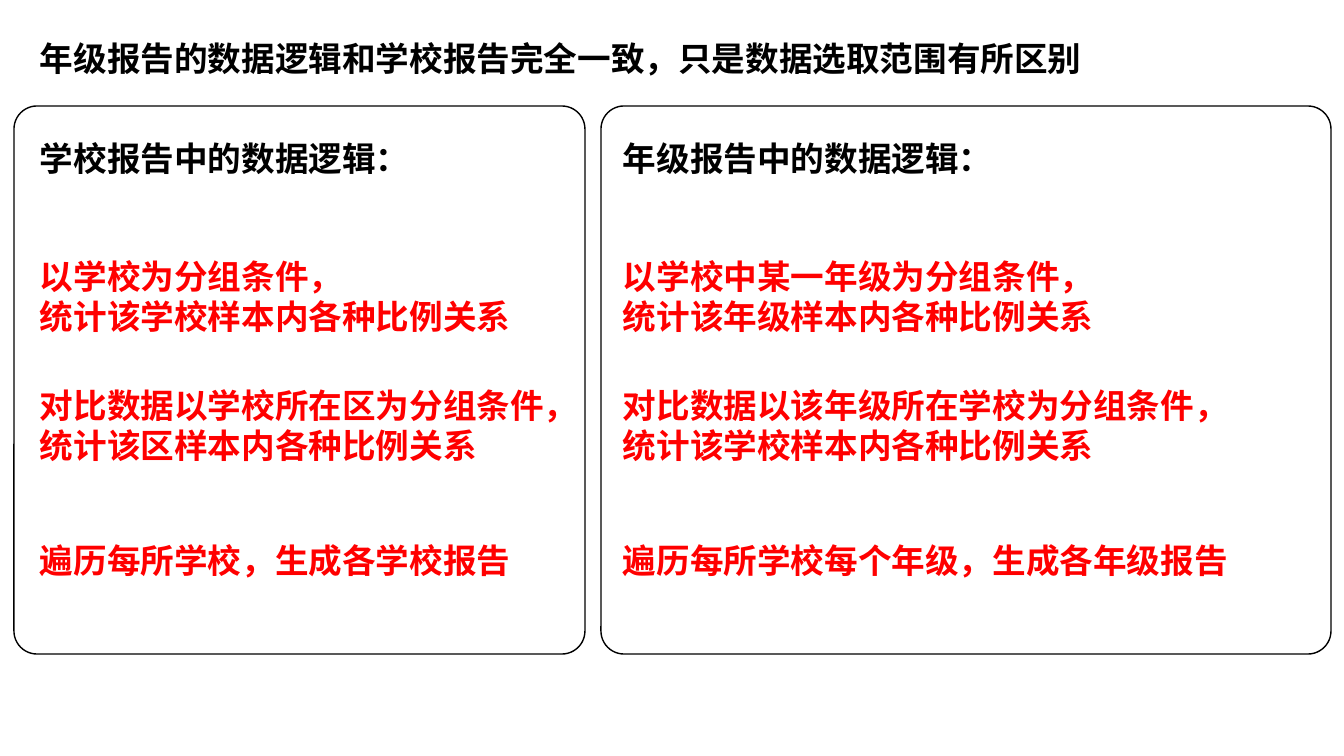
"""Build a slide that compares the data logic of school and grade reports."""
from dataclasses import dataclass

from lxml.etree import SubElement
from pptx import Presentation
from pptx.dml.color import RGBColor
from pptx.enum.shapes import MSO_SHAPE as Shape
from pptx.enum.text import MSO_AUTO_SIZE as AutoSize
from pptx.oxml.ns import qn
from pptx.util import Pt

TITLE = "年级报告的数据逻辑和学校报告完全一致，只是数据选取范围有所区别"
TITLE_BOX = (30, 33, 1073)
ROW_TOPS = (133, 251, 380, 535)
PANELS = [
    {
        "frame": (14, 571),
        "text_left": 30,
        "blocks": [
            (409, ["学校报告中的数据逻辑："]),
            (531, ["以学校为分组条件，", "统计该学校样本内各种比例关系"]),
            (612, ["对比数据以学校所在区为分组条件，", "统计该区样本内各种比例关系"]),
            (612, ["遍历每所学校，生成各学校报告"]),
        ],
    },
    {
        "frame": (601, 730),
        "text_left": 613,
        "blocks": [
            (409, ["年级报告中的数据逻辑："]),
            (539, ["以学校中某一年级为分组条件，", "统计该年级样本内各种比例关系"]),
            (703, ["对比数据以该年级所在学校为分组条件，", "统计该学校样本内各种比例关系"]),
            (628, ["遍历每所学校每个年级，生成各年级报告"]),
        ],
    },
]
SLIDE_W, SLIDE_H = 1344, 756
FRAME_TOP, FRAME_H = 106, 548
LINE_H, BOX_PAD = 41, 10


@dataclass(frozen=True)
class Theme:
    font: str = "Noto Sans CJK SC"
    size: Pt = Pt(24)
    ink: RGBColor = RGBColor(0, 0, 0)
    accent: RGBColor = RGBColor(255, 0, 0)
    line: Pt = Pt(1)
    corner: float = 0.042


THEME = Theme()


def px(n):
    return round(n * 914400 / 100.8)


def add_text(s, left, top, width, lines, color, wrap=True):
    height = LINE_H * len(lines) + BOX_PAD
    tf = s.shapes.add_textbox(px(left), px(top), px(width), px(height)).text_frame
    tf.word_wrap = wrap
    tf.auto_size = AutoSize.SHAPE_TO_FIT_TEXT
    tf.text = "\n".join(lines)
    for p in tf.paragraphs:
        for r in p.runs:
            r.font.size = THEME.size
            r.font.bold = True
            r.font.color.rgb = color
            r.font.name = THEME.font
            SubElement(r._r.get_or_add_rPr(), qn("a:ea"), typeface=THEME.font)


def add_frame(s, left, width):
    sp = s.shapes.add_shape(Shape.ROUNDED_RECTANGLE, px(left), px(FRAME_TOP), px(width), px(FRAME_H))
    sp.adjustments[0] = THEME.corner
    sp.shadow.inherit = False
    sp.fill.background()
    sp.line.color.rgb = THEME.ink
    sp.line.width = THEME.line


def main():
    prs = Presentation()
    prs.slide_width, prs.slide_height = px(SLIDE_W), px(SLIDE_H)
    s = prs.slides.add_slide(prs.slide_layouts[6])
    add_text(s, *TITLE_BOX, [TITLE], THEME.ink, wrap=False)
    for panel in PANELS:
        for row, (top, (width, lines)) in enumerate(zip(ROW_TOPS, panel["blocks"])):
            color = THEME.accent if row else THEME.ink
            add_text(s, panel["text_left"], top, width, lines, color)
    for panel in PANELS:
        add_frame(s, *panel["frame"])
    prs.save("out.pptx")


if __name__ == "__main__":
    main()
